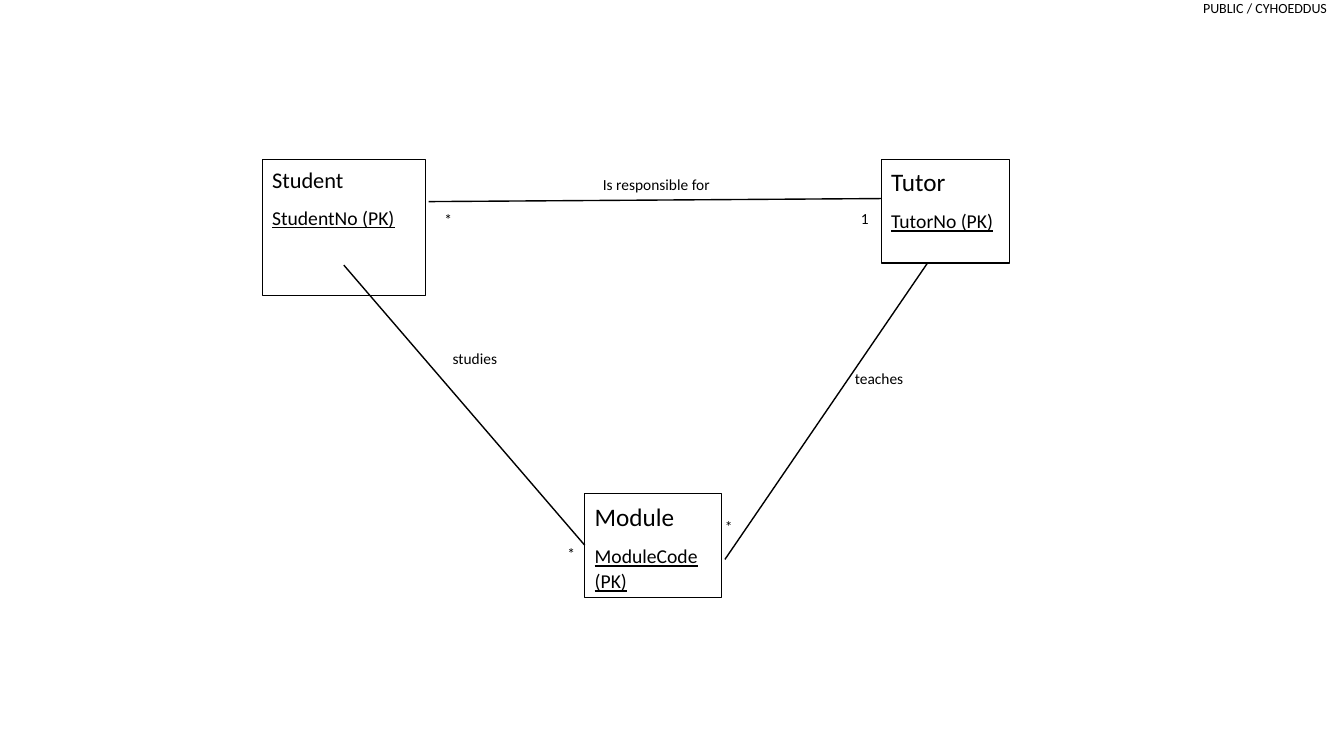
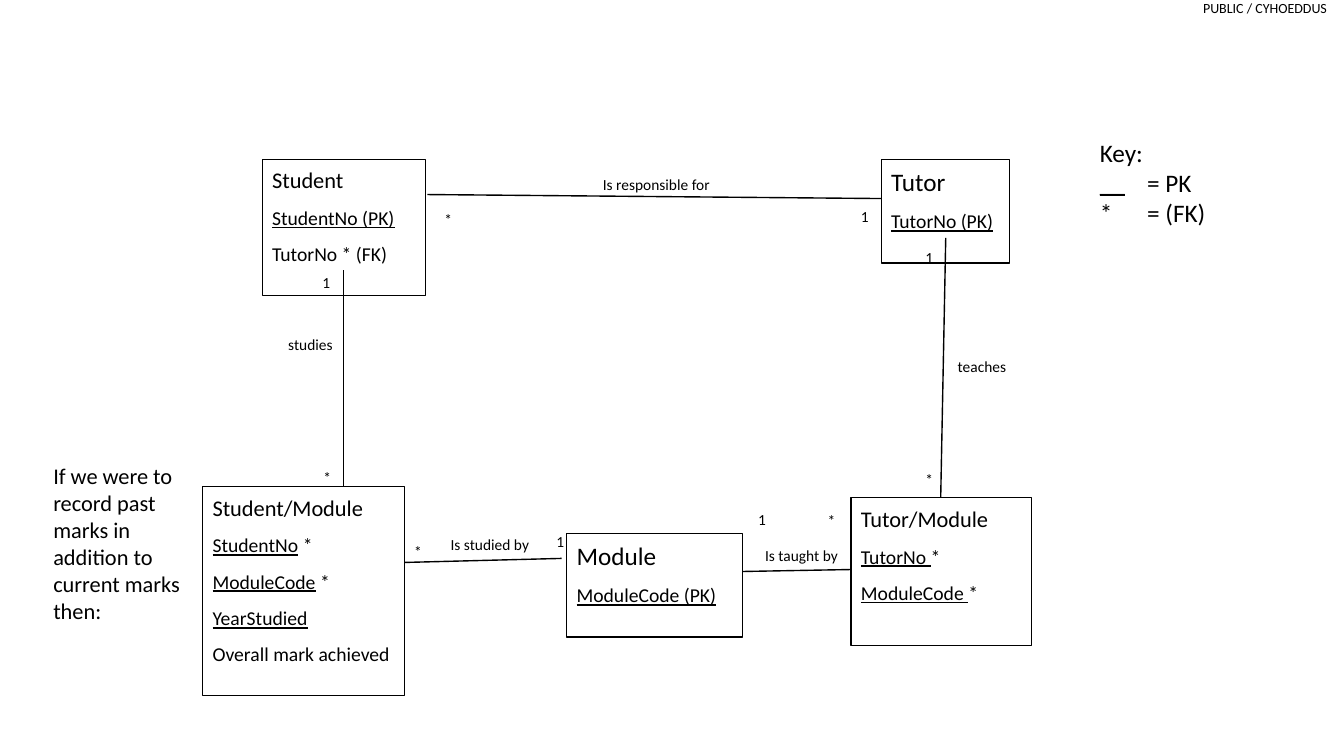
from dataclasses import dataclass

from lxml.etree import SubElement
from pptx import Presentation
from pptx.dml.color import RGBColor
from pptx.enum.shapes import MSO_CONNECTOR, MSO_SHAPE
from pptx.enum.text import MSO_ANCHOR, PP_ALIGN
from pptx.oxml.ns import qn
from pptx.util import Inches, Pt


@dataclass(frozen=True)
class Theme:
    font: str = "Calibri"
    ink: RGBColor = RGBColor(0x00, 0x00, 0x00)
    paper: RGBColor = RGBColor(0xFF, 0xFF, 0xFF)
    marking_size: int = 10
    label_size: int = 11
    attribute_size: int = 14
    note_size: int = 16
    key_size: int = 18
    border: float = 0.75
    link: float = 1
    line_spacing: float = 1.07
    space_after: int = 8


class Diagram:
    """Draws entity diagrams on the current slide."""

    def __init__(self, presentation, theme):
        self.presentation = presentation
        self.theme = theme
        self.layout = presentation.slide_layouts[6]
        self.slide = None

    def new_slide(self):
        self.slide = self.presentation.slides.add_slide(self.layout)

    def fill_paragraph(self, paragraph, runs, size, spaced=True):
        """Fill a paragraph with (text, underlined) runs."""
        theme = self.theme
        paragraph.font.name = theme.font
        paragraph.font.size = Pt(size)
        paragraph.font.color.rgb = theme.ink
        paragraph.alignment = PP_ALIGN.LEFT
        if spaced:
            paragraph.line_spacing = theme.line_spacing
            paragraph.space_after = Pt(theme.space_after)
        for text, underlined in runs:
            run = paragraph.add_run()
            run.text = text
            if underlined:
                run.font.underline = True

    def text(self, left, top, width, height, lines, size, spaced=False):
        box = self.slide.shapes.add_textbox(
            Inches(left), Inches(top), Inches(width), Inches(height))
        frame = box.text_frame
        frame.word_wrap = True
        for index, runs in enumerate(lines):
            paragraph = frame.add_paragraph() if index else frame.paragraphs[0]
            self.fill_paragraph(paragraph, runs, size, spaced)
        return box

    def label(self, text, left, top, width=0.3, height=0.32):
        self.text(left, top, width, height, [[(text, False)]],
                  self.theme.label_size, spaced=True)

    def entity(self, name, name_size, left, top, width, height, attributes):
        """Box with a name and (underlined key, plain rest) attributes."""
        theme = self.theme
        box = self.slide.shapes.add_shape(
            MSO_SHAPE.RECTANGLE,
            Inches(left), Inches(top), Inches(width), Inches(height))
        box.shadow.inherit = False
        box.fill.solid()
        box.fill.fore_color.rgb = theme.paper
        box.line.color.rgb = theme.ink
        box.line.width = Pt(theme.border)
        frame = box.text_frame
        frame.word_wrap = True
        frame.vertical_anchor = MSO_ANCHOR.TOP
        self.fill_paragraph(frame.paragraphs[0], [(name, False)], name_size)
        for key, rest in attributes:
            runs = [run for run in ((key, True), (rest, False)) if run[0]]
            self.fill_paragraph(frame.add_paragraph(), runs,
                                theme.attribute_size)

    def link(self, x1, y1, x2, y2):
        connector = self.slide.shapes.add_connector(
            MSO_CONNECTOR.STRAIGHT,
            Inches(x1), Inches(y1), Inches(x2), Inches(y2))
        connector.line.color.rgb = self.theme.ink
        connector.line.width = Pt(self.theme.link)
        SubElement(connector.element.find(qn("p:spPr")), qn("a:effectLst"))

    def mark_layout(self, text):
        """Move a right-aligned marking from the slide to its layout."""
        box = self.text(11.9, 0, 1.26, 0.33, [[(text, False)]],
                        self.theme.marking_size)
        frame = box.text_frame
        frame.margin_left = frame.margin_right = 0
        frame.margin_top = frame.margin_bottom = 0
        frame.paragraphs[0].alignment = PP_ALIGN.RIGHT
        box.element.find(".//" + qn("p:cNvPr")).set("id", "20")
        self.layout.shapes.element.append(box.element)

    def key(self, left, top, width, height, tab):
        """Legend whose meanings line up at a tab stop."""
        lines = [[("Key:", False)],
                 [("__\t", True), ("= PK", False)],
                 [("*\t= (FK)", False)]]
        box = self.text(left, top, width, height, lines, self.theme.key_size)
        for defaults in box.element.findall(".//" + qn("a:defRPr")):
            tabs = SubElement(defaults.getparent(), qn("a:tabLst"))
            SubElement(tabs, qn("a:tab"), pos=str(Inches(tab)), algn="l")
            defaults.addprevious(tabs)

    def student_and_tutor(self, student_extras=()):
        """Entities found on both slides, with the label between them."""
        self.entity("Student", 16, 2.6, 1.58, 1.62, 1.35,
                    [("StudentNo (PK)", ""), *student_extras])
        self.entity("Tutor", 18, 8.74, 1.58, 1.27, 1.03,
                    [("TutorNo (PK)", "")])
        self.label("Is responsible for", 5.88, 1.68, 1.31, 0.49)
        self.label("*", 4.31, 2.02)


presentation = Presentation()
presentation.slide_width = Inches(13.33)
presentation.slide_height = Inches(7.5)
theme = Theme()
diagram = Diagram(presentation, theme)

# Slide 1: many-to-many model
diagram.new_slide()
diagram.mark_layout("PUBLIC / CYHOEDDUS")
diagram.link(4.25, 2, 8.74, 1.97)
diagram.link(7.19, 5.55, 9.37, 2.36)
diagram.student_and_tutor()
diagram.entity("Module", 18, 5.8, 4.9, 1.36, 1.03, [("ModuleCode (PK)", "")])
diagram.link(3.41, 2.63, 5.8, 5.41)
diagram.label("teaches", 8.38, 3.6, 0.78, 0.49)
diagram.label("studies", 4.39, 3.4, 0.78, 0.29)
for text, left, top in (("1", 8.44, 2.01), ("*", 5.53, 5.34), ("*", 7.09, 5.07)):
    diagram.label(text, left, top)

# Slide 2: model with link entities
diagram.new_slide()
diagram.student_and_tutor([("", "TutorNo * (FK)")])
diagram.entity("Module", 18, 5.62, 5.29, 1.74, 1.03, [("ModuleCode (PK)", "")])
diagram.entity("Student/Module", 16, 2.01, 4.83, 2, 2.07, [
    ("StudentNo", " *"), ("ModuleCode", " *"),
    ("YearStudied", ""), ("", "Overall mark achieved")])
diagram.entity("Tutor/Module", 16, 8.44, 4.94, 1.79, 1.46, [
    ("TutorNo ", "*"), ("ModuleCode ", "*")])

# Links between the entities
for ends in ((4.24, 1.93, 8.74, 1.97), (7.36, 5.67, 8.44, 5.65),
             (3.41, 2.68, 3.41, 4.83), (4.01, 5.58, 5.57, 5.54),
             (9.38, 2.36, 9.33, 4.94)):
    diagram.link(*ends)

# Relationship names and multiplicities
diagram.label("teaches", 9.4, 3.48, 0.78, 0.49)
diagram.label("studies", 2.76, 3.26, 0.78, 0.29)
diagram.label("Is taught by", 7.49, 5.36, 0.96, 0.49)
diagram.label("Is studied by", 4.37, 5.25, 1.02, 0.49)
for text, left, top in (
        ("1", 8.44, 1.99), ("*", 3.11, 4.58), ("*", 4.01, 5.32),
        ("*", 8.11, 5.01), ("*", 9.08, 4.6), ("1", 3.1, 2.65),
        ("1", 5.42, 5.22), ("1", 7.42, 5), ("1", 9.08, 2.4)):
    diagram.label(text, left, top)

# Key and side note
diagram.key(10.81, 1.31, 1.49, 1.3, tab=0.47)
diagram.text(0.43, 4.54, 1.58, 1.7, [[(
    "If we were to record past marks in addition to current marks then:",
    False)]], theme.note_size)

presentation.save("out.pptx")
